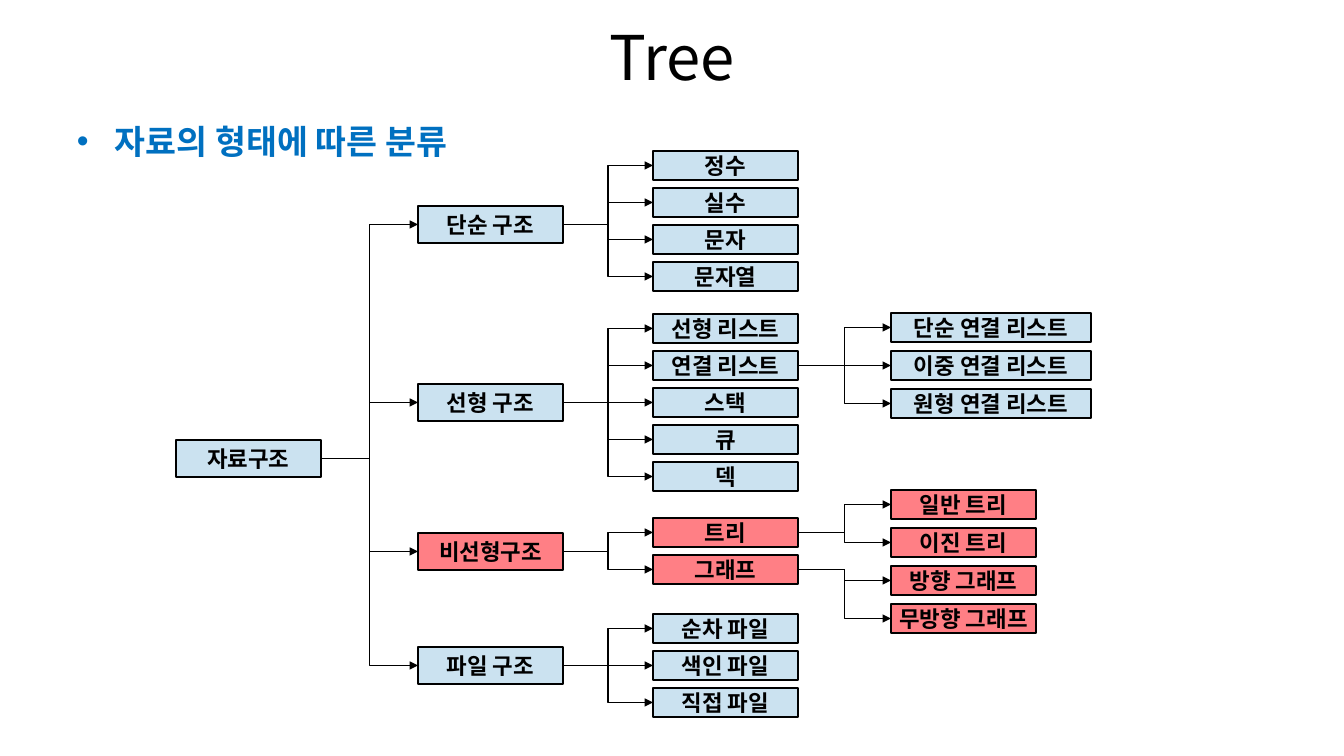
from dataclasses import dataclass

import lxml.etree
import pptx
import pptx.dml.color
import pptx.enum.shapes
import pptx.enum.text
import pptx.oxml.ns
import pptx.util

qn = pptx.oxml.ns.qn
ALIGN = pptx.enum.text.PP_ALIGN
ANCHOR = pptx.enum.text.MSO_ANCHOR
CONNECTOR = pptx.enum.shapes.MSO_CONNECTOR


@dataclass(frozen=True)
class Theme:
    ink: str = "000000"
    heading: str = "0070C0"
    plain: str = "CBE2F0"
    accent: str = "FF7F85"
    text_font: str = "Noto Sans CJK KR"
    node_font: str = "Arial"
    title_size: int = 44
    heading_size: int = 24
    node_size: int = 16
    line_width: int = 1


@dataclass(frozen=True)
class Box:
    left: int
    top: int
    width: int
    height: int

    def emu(self):
        return [px(n) for n in (self.left, self.top, self.width, self.height)]


@dataclass(frozen=True)
class Node:
    label: str
    center: int
    children: tuple = ()
    accent: bool = False
    width: int = 145


THEME = Theme()
COLUMNS = (0, 242, 477, 715)
HEIGHTS = (37, 37, 29, 29)
PITCHES = (0, 0, 37, 38)


def px(pixels):
    return pptx.util.Emu(round(pixels * 914400 / 100.8))


def rgb(value):
    return pptx.dml.color.RGBColor.from_string(value)


def style_text(paragraph, size, color, font_name, bold=False):
    font = paragraph.font
    font.size = pptx.util.Pt(size)
    font.bold = bold
    font.name = font_name
    font.color.rgb = rgb(color)
    east_asian = lxml.etree.SubElement(paragraph._p.pPr.find(qn("a:defRPr")), qn("a:ea"))
    east_asian.set("typeface", THEME.text_font)


def add_text(slide, box, text, anchor):
    frame = slide.shapes.add_textbox(*box.emu()).text_frame
    frame.word_wrap = True
    frame.vertical_anchor = anchor
    frame.text = text
    return frame.paragraphs[0]


def draw_title(slide, box):
    title = add_text(slide, box, "Tree", ANCHOR.MIDDLE)
    title.alignment = ALIGN.CENTER
    style_text(title, THEME.title_size, THEME.ink, THEME.text_font)


def draw_heading(slide, box):
    heading = add_text(slide, box, "자료의 형태에 따른 분류", ANCHOR.TOP)
    style_text(heading, THEME.heading_size, THEME.heading, THEME.text_font, bold=True)
    properties = heading._p.pPr
    properties.set("marL", str(px(38)))
    properties.set("indent", str(-px(38)))
    bullet_font = lxml.etree.Element(qn("a:buFont"), typeface="Arial")
    bullet = lxml.etree.Element(qn("a:buChar"), char="•")
    properties.insert(0, bullet_font)
    properties.insert(1, bullet)


def leaves(labels, first, depth, **options):
    return tuple(
        Node(label, first + row * PITCHES[depth], **options)
        for row, label in enumerate(labels)
    )


def data_structures():
    lists = leaves(("단순 연결 리스트", "이중 연결 리스트", "원형 연결 리스트"), 178, 3, width=200)
    trees = leaves(("일반 트리", "이진 트리"), 355, 3, accent=True)
    graphs = leaves(("방향 그래프", "무방향 그래프"), 431, 3, accent=True)
    simple = leaves(("정수", "실수", "문자", "문자열"), 16, 2)
    linear = (
        Node("선형 리스트", 179),
        Node("연결 리스트", 216, lists),
        *leaves(("스택", "큐", "덱"), 253, 2),
    )
    nonlinear = (Node("트리", 383, trees, True), Node("그래프", 420, graphs, True))
    files = leaves(("순차 파일", "색인 파일", "직접 파일"), 479, 2)
    return Node("자료구조", 309, (
        Node("단순 구조", 75, simple),
        Node("선형 구조", 253, linear),
        Node("비선형구조", 402, nonlinear, True),
        Node("파일 구조", 516, files),
    ))


def draw_node(slide, box, node):
    shape = slide.shapes.add_shape(pptx.enum.shapes.MSO_SHAPE.RECTANGLE, *box.emu())
    shape.shadow.inherit = False
    shape.fill.solid()
    shape.fill.fore_color.rgb = rgb(THEME.accent if node.accent else THEME.plain)
    shape.line.color.rgb = rgb(THEME.ink)
    shape.line.width = pptx.util.Pt(THEME.line_width)
    frame = shape.text_frame
    frame.word_wrap = False
    frame.vertical_anchor = ANCHOR.MIDDLE
    frame.text = node.label
    label = frame.paragraphs[0]
    label.alignment = ALIGN.CENTER
    style_text(label, THEME.node_size, THEME.ink, THEME.node_font, bold=True)
    return shape


def draw_branch(slide, parent, child, level):
    kind = CONNECTOR.STRAIGHT if level else CONNECTOR.ELBOW
    branch = slide.shapes.add_connector(kind, 0, 0, 0, 0)
    branch.begin_connect(parent, 3)
    branch.end_connect(child, 1)
    branch.line.color.rgb = rgb(THEME.ink)
    branch.line.width = pptx.util.Pt(THEME.line_width)
    lxml.etree.SubElement(branch.line._get_or_add_ln(), qn("a:tailEnd"), type="triangle")
    lxml.etree.SubElement(branch._element.spPr, qn("a:effectLst"))


def draw_tree(slide, box, node, depth=0):
    height = HEIGHTS[depth]
    node_box = Box(
        box.left + COLUMNS[depth], box.top + node.center - height // 2, node.width, height
    )
    parent = draw_node(slide, node_box, node)
    for child in node.children:
        child_shape = draw_tree(slide, box, child, depth + 1)
        draw_branch(slide, parent, child_shape, child.center == node.center)
    return parent


def main():
    presentation = pptx.Presentation()
    presentation.slide_width = px(1344)
    presentation.slide_height = px(756)
    slide = presentation.slides.add_slide(presentation.slide_layouts[6])
    draw_title(slide, Box(67, 13, 1210, 86))
    draw_heading(slide, Box(67, 116, 1210, 572))
    draw_tree(slide, Box(176, 149, 916, 568), data_structures())
    presentation.save("out.pptx")


main()
